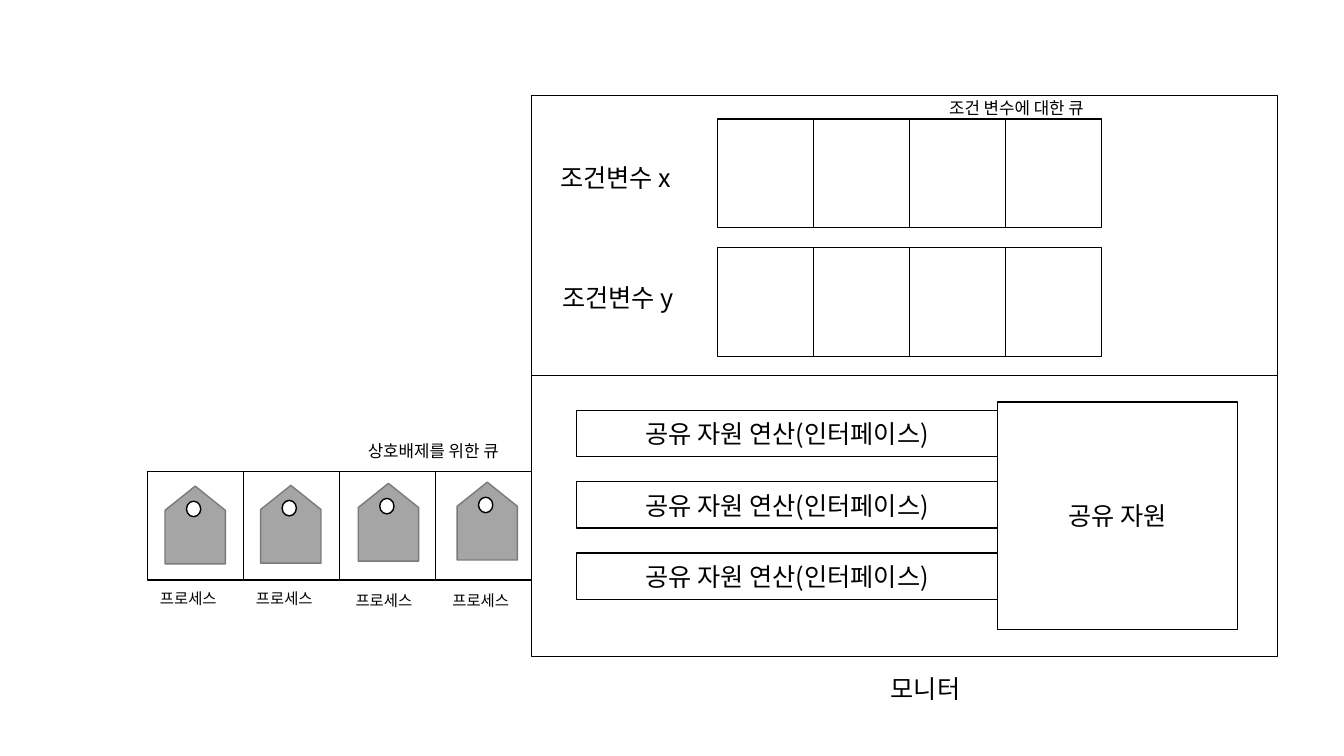
from lxml.etree import SubElement
from pptx import Presentation
from pptx.dml.color import RGBColor
from pptx.enum.shapes import MSO_CONNECTOR, MSO_SHAPE
from pptx.enum.text import MSO_ANCHOR, MSO_AUTO_SIZE, PP_ALIGN
from pptx.oxml.ns import qn
from pptx.util import Cm, Pt

FONT = "Noto Sans CJK KR"
BLACK, WHITE, GRAY, DARK_GRAY = "000000", "FFFFFF", "A5A5A5", "7A7A7A"


def color(value):
    return RGBColor.from_string(value)


def write(frame, text, size=18, ink=BLACK, align=PP_ALIGN.LEFT, anchor=MSO_ANCHOR.TOP):
    frame.word_wrap = True
    frame.vertical_anchor = anchor
    paragraph = frame.paragraphs[0]
    paragraph.alignment = align
    run = paragraph.add_run()
    run.text = text
    run.font.size = Pt(size)
    run.font.name = FONT
    run.font.color.rgb = color(ink)
    SubElement(run.font._element, qn("a:ea")).set("typeface", FONT)


class Diagram:
    fill, line, weight = WHITE, BLACK, 1

    def __init__(self, slide):
        self.shapes = slide.shapes

    def shape(self, preset, x, y, width, height, fill=None, line=None):
        added = self.shapes.add_shape(preset, Cm(x), Cm(y), Cm(width), Cm(height))
        added.shadow.inherit = False
        added.fill.solid()
        added.fill.fore_color.rgb = color(fill or self.fill)
        added.line.color.rgb = color(line or self.line)
        added.line.width = Pt(self.weight)
        return added

    def box(self, x, y, width, height, text=None):
        added = self.shape(MSO_SHAPE.RECTANGLE, x, y, width, height)
        if text:
            write(added.text_frame, text, align=PP_ALIGN.CENTER, anchor=MSO_ANCHOR.MIDDLE)

    def queue(self, x, y, cells=4, width=2.42, height=2.74):
        for cell in range(cells):
            self.box(x + cell * width, y, width, height)

    def process(self, x, y):
        tag = self.shape(MSO_SHAPE.PENTAGON, x, y, 1.96, 1.52, GRAY, DARK_GRAY)
        tag.rotation = 270
        tag.adjustments[0] = 0.4
        self.shape(MSO_SHAPE.OVAL, x + 0.76, y + 0.16, 0.36, 0.39)

    def divider(self, x, y, width):
        added = self.shapes.add_connector(
            MSO_CONNECTOR.STRAIGHT, Cm(x), Cm(y), Cm(x + width), Cm(y))
        added.line.color.rgb = color(self.line)
        added.line.width = Pt(0.5)
        SubElement(added._element.spPr, qn("a:effectLst"))

    def label(self, x, y, width, height, text, size=18):
        frame = self.shapes.add_textbox(Cm(x), Cm(y), Cm(width), Cm(height)).text_frame
        write(frame, text, size=size)
        frame.auto_size = MSO_AUTO_SIZE.SHAPE_TO_FIT_TEXT


deck = Presentation()
deck.slide_width, deck.slide_height = Cm(33.87), Cm(19.05)
diagram = Diagram(deck.slides.add_slide(deck.slide_layouts[6]))

monitor_left, monitor_width = 13.4, 18.79
diagram.box(monitor_left, 2.4, monitor_width, 14.15)
diagram.queue(3.72, 11.88)
diagram.divider(monitor_left, 9.47, monitor_width)
for queue_top in (3, 6.24):
    diagram.queue(18.08, queue_top)

diagram.box(25.14, 10.13, 6.05, 5.74, "공유 자원")
for operation in range(3):
    diagram.box(14.53, 10.34 + operation * 1.8, 10.61, 1.17, "공유 자원 연산(인터페이스)")

processes = [
    (3.94, 12.47, 3.78, 14.71),
    (6.35, 12.45, 6.2, 14.71),
    (8.81, 12.4, 8.71, 14.76),
    (11.3, 12.37, 11.15, 14.78),
]
for tag_left, tag_top, name_left, name_top in processes:
    diagram.process(tag_left, tag_top)
    diagram.label(name_left, name_top, 2.26, 0.73, "프로세스", size=11)

diagram.label(22.2, 16.84, 2.62, 1.03, "모니터")
diagram.label(13.87, 3.96, 3.76, 1.03, "조건변수 x")
diagram.label(13.92, 6.99, 3.76, 1.03, "조건변수 y")
diagram.label(23.67, 2.34, 4.8, 0.77, "조건 변수에 대한 큐", size=12)
diagram.label(9.02, 10.97, 4.8, 0.77, "상호배제를 위한 큐", size=12)

deck.save("out.pptx")
